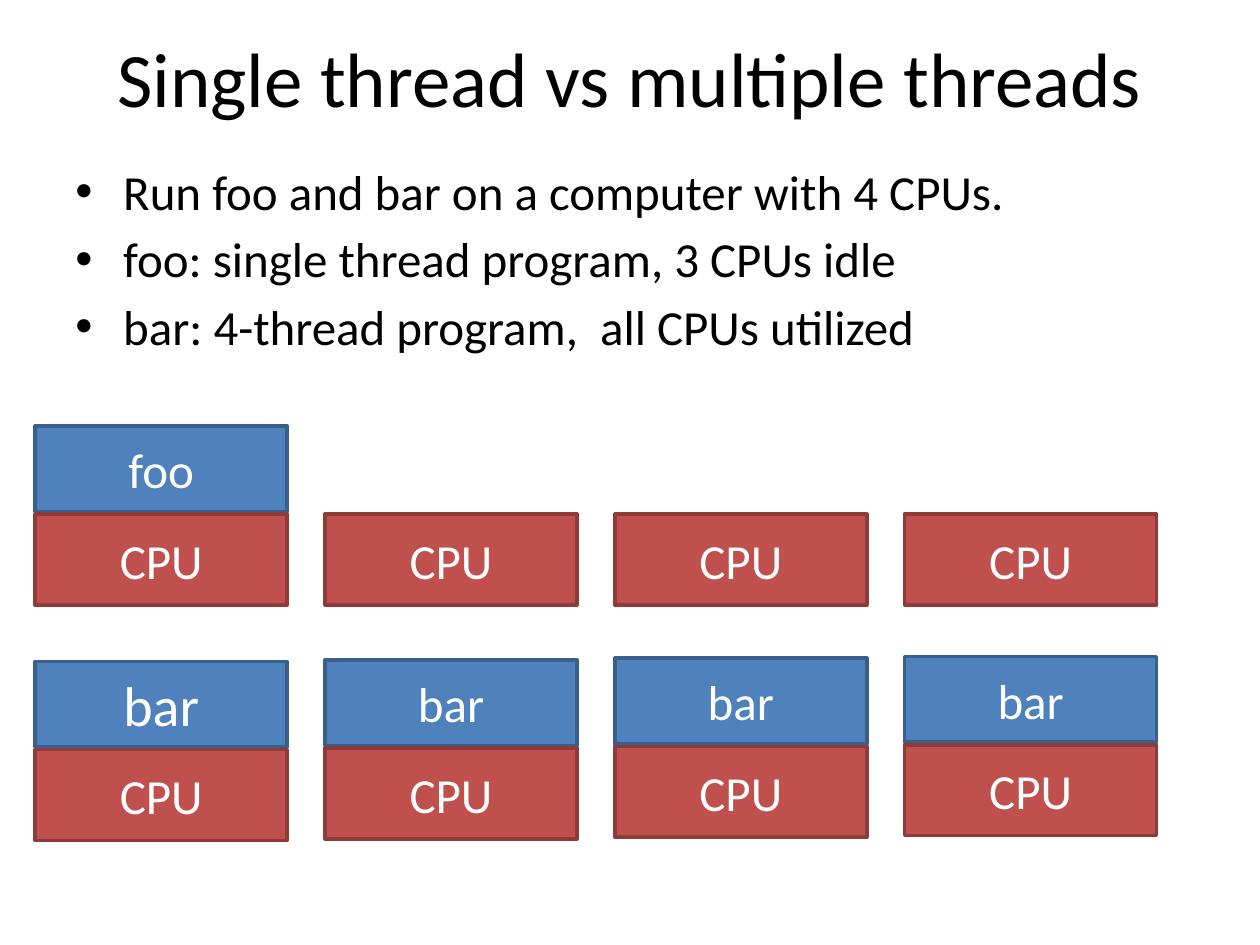
import pptx
import pptx.util
import pptx.dml.color
import pptx.enum.shapes
import pptx.enum.text
import pptx.oxml.ns
from lxml import etree

Inches = pptx.util.Inches
Pt = pptx.util.Pt
ALIGN = pptx.enum.text.PP_ALIGN
ANCHOR = pptx.enum.text.MSO_ANCHOR

COLORS = {
    "text": "000000",
    "light": "FFFFFF",
    "thread": "4F81BD",
    "thread_edge": "3A5F8C",
    "cpu": "C0504D",
    "cpu_edge": "8E3B39",
}
BULLETS = [
    "Run foo and bar on a computer with 4 CPUs.",
    "foo: single thread program, 3 CPUs idle",
    "bar: 4-thread program,  all CPUs utilized",
]
CPU_COUNT = 4
COLUMN_STEP = 2.3
ROW_RISE = 0.013
BLOCK_WIDTH = 2
THREAD_HEIGHT = 0.68
CPU_HEIGHT = 0.72
CPU_OFFSET = 0.7


def color(name):
    return pptx.dml.color.RGBColor.from_string(COLORS[name])


def apply(target, values):
    for name, value in values.items():
        setattr(target, name, value)


def write(para, text, size, color_name):
    span = para.add_run()
    span.text = text
    apply(span.font, {"name": "Calibri", "size": Pt(size)})
    span.font.color.rgb = color(color_name)


def add_text_box(page, left, top, width, height, anchor):
    box = page.shapes.add_textbox(Inches(left), Inches(top), Inches(width), Inches(height))
    apply(box.text_frame, {"word_wrap": True, "vertical_anchor": anchor})
    return box.text_frame


def add_title(page, left, top, width, height):
    frame = add_text_box(page, left, top, width, height, ANCHOR.MIDDLE)
    para = frame.paragraphs[0]
    para.alignment = ALIGN.CENTER
    write(para, "Single thread vs multiple threads", 44, "text")


def add_bullets(page, left, top, width, height):
    frame = add_text_box(page, left, top, width, height, ANCHOR.TOP)
    for index, text in enumerate(BULLETS):
        para = frame.add_paragraph() if index else frame.paragraphs[0]
        properties = para._p.get_or_add_pPr()
        properties.set("marL", str(Inches(0.38)))
        properties.set("indent", str(Inches(-0.38)))
        font = etree.SubElement(properties, pptx.oxml.ns.qn("a:buFont"))
        font.set("typeface", "Arial")
        bullet = etree.SubElement(properties, pptx.oxml.ns.qn("a:buChar"))
        bullet.set("char", "•")
        para.space_before = Pt(5 if index else 0)
        write(para, text, 28, "text")


def add_block(shapes, kind, text, left, top, height, size=28):
    block = shapes.add_shape(
        pptx.enum.shapes.MSO_SHAPE.RECTANGLE,
        Inches(left), Inches(top), Inches(BLOCK_WIDTH), Inches(height),
    )
    block.shadow.inherit = False
    block.fill.solid()
    block.fill.fore_color.rgb = color(kind)
    block.line.color.rgb = color(kind + "_edge")
    block.line.width = Pt(2)
    apply(block.text_frame, {"word_wrap": True, "vertical_anchor": ANCHOR.MIDDLE})
    para = block.text_frame.paragraphs[0]
    para.alignment = ALIGN.CENTER
    write(para, text, size, "light")


def add_cpu(shapes, left, top):
    add_block(shapes, "cpu", "CPU", left, top, CPU_HEIGHT)


def add_busy_cpu(page, thread, left, top, size=28):
    group = page.shapes.add_group_shape()
    add_block(group.shapes, "thread", thread, left, top, THREAD_HEIGHT, size)
    add_cpu(group.shapes, left, top + CPU_OFFSET)


def add_single_thread_row(page, left, top):
    add_busy_cpu(page, "foo", left, top)
    for column in range(1, CPU_COUNT):
        add_cpu(page.shapes, left + column * COLUMN_STEP, top + CPU_OFFSET)


def add_multiple_thread_row(page, left, top):
    for column in range(CPU_COUNT):
        add_busy_cpu(
            page, "bar", left + column * COLUMN_STEP, top - column * ROW_RISE,
            28 if column else 32,
        )


def main():
    deck = pptx.Presentation()
    apply(deck, {"slide_width": Inches(10), "slide_height": Inches(7.5)})
    page = deck.slides.add_slide(deck.slide_layouts[6])
    add_title(page, 0.5, -0.02, 9, 1.25)
    add_bullets(page, 0.5, 1.23, 9, 5.73)
    add_single_thread_row(page, 0.28, 3.38)
    add_multiple_thread_row(page, 0.28, 5.25)
    deck.save("out.pptx")


if __name__ == "__main__":
    main()
